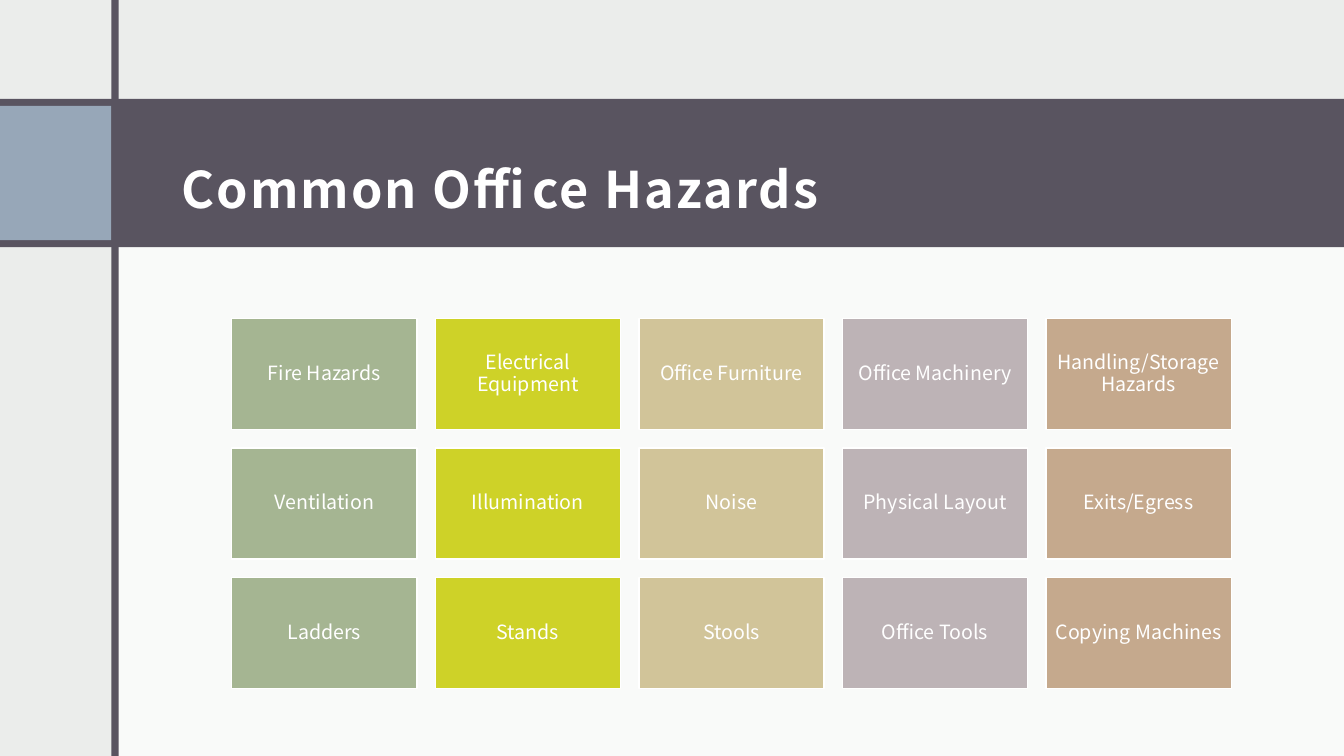
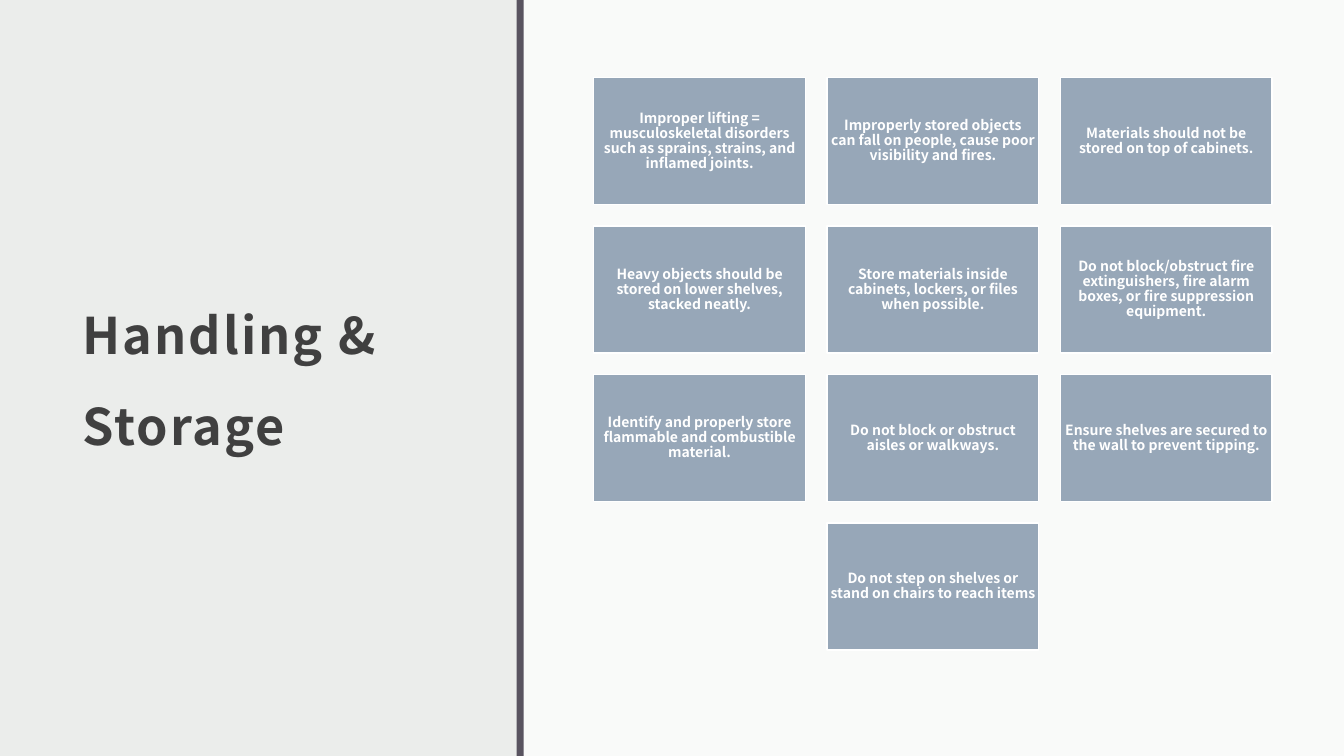
import dataclasses

import lxml.etree
import pptx
import pptx.dml.color
import pptx.enum.shapes
import pptx.enum.text
import pptx.oxml.ns
import pptx.util

Cm = pptx.util.Cm
Pt = pptx.util.Pt


@dataclasses.dataclass(frozen=True)
class Theme:
    font: str = "Noto Sans CJK JP"
    page: str = "EBEDEB"
    white: str = "FFFFFF"
    plum: str = "595460"
    blue: str = "97A7B8"
    ink: str = "404040"
    columns: tuple = ("A5B592", "CED228", "D1C499", "BDB3B6", "C5A98D")
    title_size: int = 36
    hazard_size: int = 14
    rule_size: int = 10
    panel_opacity: int = 75
    bar: float = 0.18


THEME = Theme()
WIDTH, HEIGHT = 33.87, 19.05

HAZARDS_TITLE = "Common Office Hazards"
HAZARDS = [
    ["Fire Hazards", "Electrical Equipment", "Office Furniture",
     "Office Machinery", "Handling/Storage Hazards"],
    ["Ventilation", "Illumination", "Noise", "Physical Layout", "Exits/Egress"],
    ["Ladders", "Stands", "Stools", "Office Tools", "Copying Machines"],
]

STORAGE_TITLE = "Handling & Storage"
STORAGE_RULES = [
    ["Improper lifting = musculoskeletal disorders such as sprains, strains, and inflamed joints.",
     "Improperly stored objects can fall on people, cause poor visibility and fires.",
     "Materials should not be stored on top of cabinets."],
    ["Heavy objects should be stored on lower shelves, stacked neatly.",
     "Store materials inside cabinets, lockers, or files when possible.",
     "Do not block/obstruct fire extinguishers, fire alarm boxes, or fire suppression equipment."],
    ["Identify and properly store flammable and combustible material.",
     "Do not block or obstruct aisles or walkways.",
     "Ensure shelves are secured to the wall to prevent tipping."],
    ["Do not step on shelves or stand on chairs to reach items"],
]


def rgb(color):
    return pptx.dml.color.RGBColor.from_string(color)


def add_block(slide, left, top, width, height, color, opacity=100):
    block = slide.shapes.add_shape(
        pptx.enum.shapes.MSO_SHAPE.RECTANGLE, Cm(left), Cm(top), Cm(width), Cm(height))
    block.shadow.inherit = False
    block.fill.solid()
    block.fill.fore_color.rgb = rgb(color)
    block.line.fill.background()
    if opacity < 100:
        tint = block.fill._xPr.find(".//" + pptx.oxml.ns.qn("a:srgbClr"))
        lxml.etree.SubElement(tint, pptx.oxml.ns.qn("a:alpha"), val=str(opacity * 1000))
    return block


def write(holder, text, size, color, bold, spacing, align, insets):
    frame = holder.text_frame
    frame.word_wrap = True
    frame.vertical_anchor = pptx.enum.text.MSO_ANCHOR.MIDDLE
    frame.margin_left, frame.margin_top, frame.margin_right, frame.margin_bottom = map(Cm, insets)
    paragraph = frame.paragraphs[0]
    paragraph.alignment = align
    paragraph.line_spacing = spacing
    run = paragraph.add_run()
    run.text = text
    run.font.name = THEME.font
    run.font.size = Pt(size)
    run.font.bold = bold
    run.font.color.rgb = rgb(color)
    return run


def add_title(slide, text, left, top, width, height, color):
    title = slide.shapes.add_textbox(Cm(left), Cm(top), Cm(width), Cm(height))
    run = write(title, text, THEME.title_size, color, True, 1.5,
                pptx.enum.text.PP_ALIGN.LEFT, (0.3, 0.3, 0.3, 0.25))
    run.font._element.set("spc", "150")


def add_panel(slide, divider, top=0):
    add_block(slide, divider, top, WIDTH - divider, HEIGHT - top,
              THEME.white, THEME.panel_opacity)


def add_divider(slide, divider):
    add_block(slide, divider - THEME.bar / 2, 0, THEME.bar, HEIGHT, THEME.plum)


def add_cards(slide, rows, left, top, width, height, gap, colors, size, bold, inset):
    for r, row in enumerate(rows):
        indent = (len(rows[0]) - len(row)) / 2
        for c, text in enumerate(row):
            card = add_block(slide, left + (c + indent) * (width + gap),
                             top + r * (height + gap), width, height,
                             colors[c % len(colors)])
            card.line.color.rgb = rgb(THEME.white)
            card.line.width = Pt(1)
            write(card, text, size, THEME.white, bold, 0.9,
                  pptx.enum.text.PP_ALIGN.CENTER, (inset,) * 4)


def build_hazards(slide):
    divider, band_top, band_height = 2.9, 2.49, 3.74
    add_panel(slide, divider, 5.92)
    add_block(slide, 0, band_top, WIDTH, band_height, THEME.plum)
    add_title(slide, HAZARDS_TITLE, 4.27, 2.9, 27.81, 2.87, THEME.white)
    add_block(slide, 0, band_top + THEME.bar, divider - THEME.bar / 2,
              band_height - 2 * THEME.bar, THEME.blue)
    add_divider(slide, divider)
    add_cards(slide, HAZARDS, 5.84, 8.03, 4.67, 2.8, 0.46,
              THEME.columns, THEME.hazard_size, False, 0.15)


def build_storage(slide):
    divider = 13.11
    add_panel(slide, divider)
    add_divider(slide, divider)
    add_title(slide, STORAGE_TITLE, 1.78, 1.96, 9.47, 14.43, THEME.ink)
    add_cards(slide, STORAGE_RULES, 14.96, 1.96, 5.34, 3.2, 0.54,
              (THEME.blue,), THEME.rule_size, True, 0.09)


def main():
    deck = pptx.Presentation()
    deck.slide_width, deck.slide_height = Cm(WIDTH), Cm(HEIGHT)
    backdrop = deck.slide_master.background.fill
    backdrop.solid()
    backdrop.fore_color.rgb = rgb(THEME.page)
    for build in (build_hazards, build_storage):
        build(deck.slides.add_slide(deck.slide_layouts[6]))
    deck.save("out.pptx")


if __name__ == "__main__":
    main()
